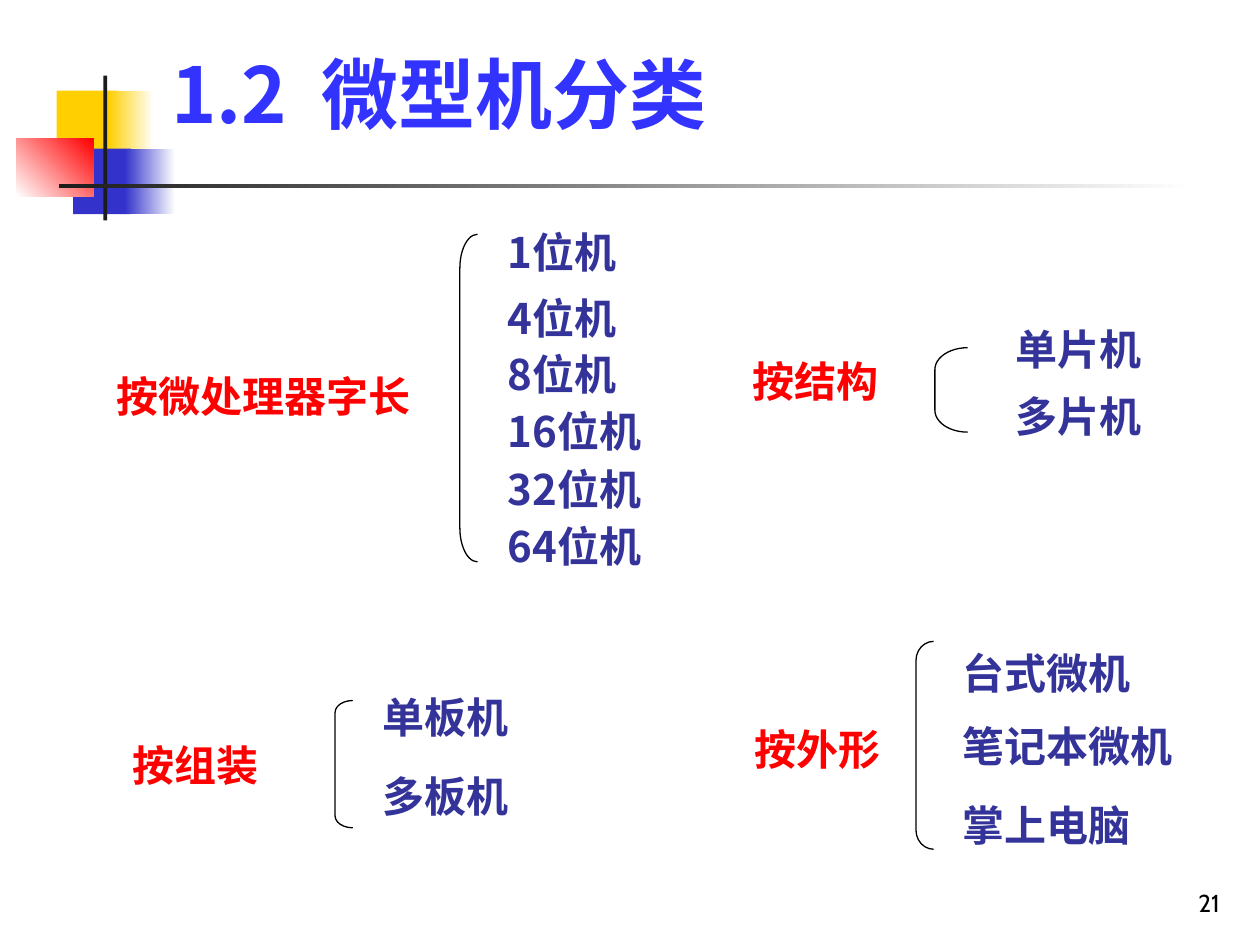
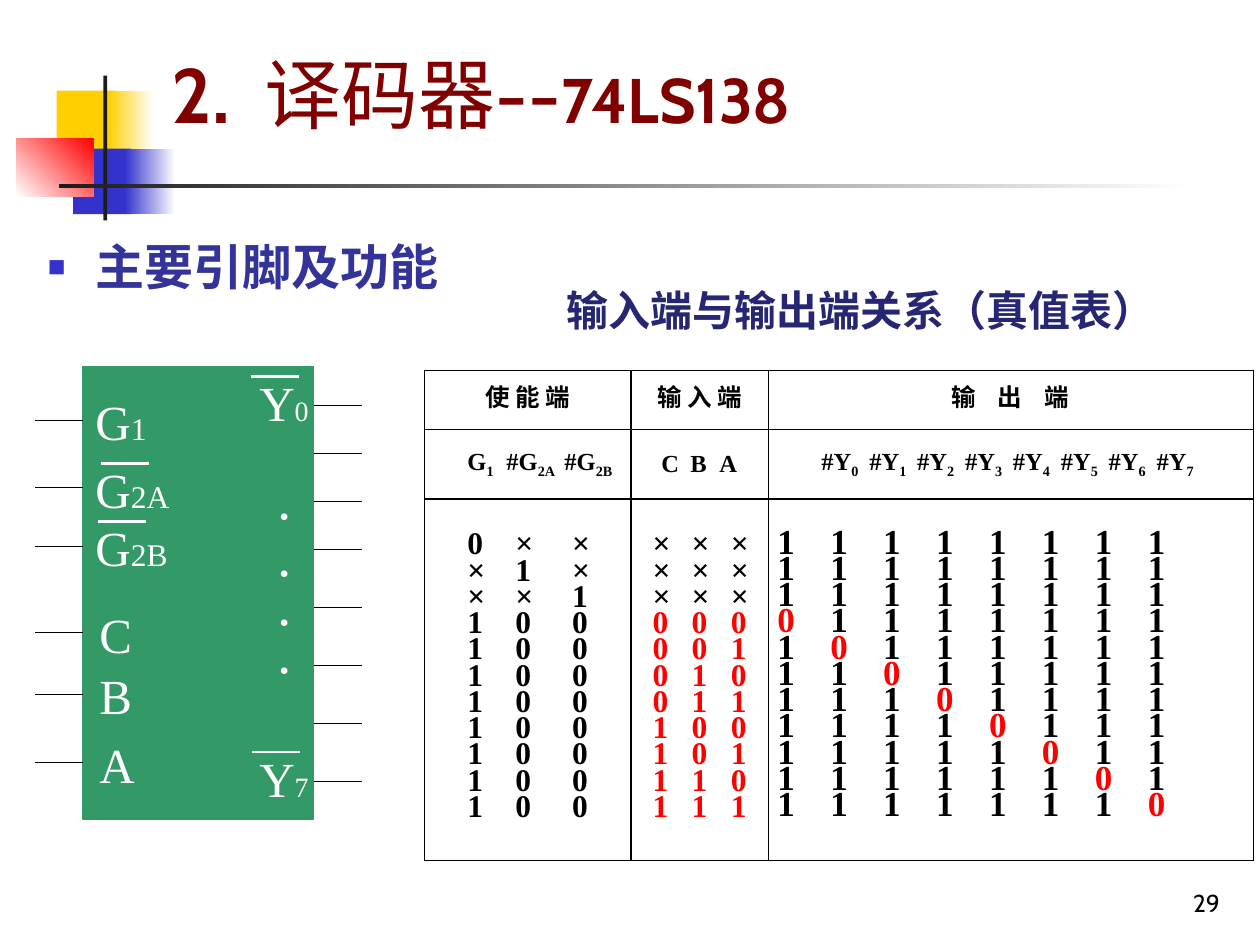
from dataclasses import dataclass
from typing import Optional, Sequence

from lxml.etree import SubElement
from pptx import Presentation
from pptx.dml.color import RGBColor
from pptx.enum.shapes import MSO_CONNECTOR, MSO_SHAPE
from pptx.enum.text import MSO_ANCHOR, MSO_AUTO_SIZE, PP_ALIGN
from pptx.oxml.ns import qn
from pptx.util import Inches, Pt


@dataclass(frozen=True)
class Theme:
    sans: str = "Cabin"
    cjk: str = "Noto Sans CJK SC"
    serif: str = "Times New Roman"
    black: str = "000000"
    white: str = "FFFFFF"
    ink: str = "1C1C1C"
    red: str = "FF0000"
    yellow: str = "FFCF01"
    blue: str = "3333CC"
    indigo: str = "333399"
    navy: str = "262673"
    title_blue: str = "3333FF"
    maroon: str = "800000"
    chip: str = "339966"
    title: int = 44
    subtitle: int = 36
    body: int = 28
    label: int = 24
    output: int = 20
    table: int = 18
    dot: int = 16
    small: int = 14


T = Theme()


@dataclass(frozen=True)
class Box:
    left: float
    top: float
    width: float
    height: float

    def emu(self) -> list:
        return [Inches(v) for v in (self.left, self.top, self.width, self.height)]


@dataclass(frozen=True)
class Span:
    text: str
    size: int
    color: str = T.black
    font: str = T.serif
    bold: bool = True
    sub: bool = False


@dataclass(frozen=True)
class Band:
    box: Box
    start: str
    end: Optional[str] = None
    angle: int = 0


@dataclass(frozen=True)
class Item:
    text: str
    box: Box


@dataclass(frozen=True)
class Category:
    font: str
    heading: Item
    bracket: Box
    curve: float
    items: Sequence[Item]


@dataclass(frozen=True)
class Pin:
    name: str
    sub: str
    sub_size: int
    box: Box


BANDS = [
    Band(Box(0.45, 0.72, 0.48, 0.52), T.yellow),
    Band(Box(0.86, 0.72, 0.36, 0.52), T.yellow, T.white),
    Band(Box(0.58, 1.18, 0.46, 0.52), T.blue),
    Band(Box(0.99, 1.18, 0.4, 0.52), T.blue, T.white),
    Band(Box(0.13, 1.1, 0.61, 0.46), T.white, T.red, 45),
    Band(Box(0.82, 0.6, 0.03, 1.15), T.ink),
    Band(Box(0.47, 1.46, 9, 0.03), T.ink, T.white),
]
TITLE_BOX = Box(1.26, 0.23, 8.52, 0.92)
NUMBER_BOX = Box(7.7, 6.83, 2.08, 0.5)


def column(left: float, width: float, rows: dict) -> list:
    return [Item(text, Box(left, top, width, 0.5)) for text, top in rows.items()]


CATEGORIES = [
    Category(T.cjk, Item("按微处理器字长", Box(0.83, 2.89, 2.61, 0.5)),
             Box(3.65, 1.86, 0.14, 2.6), 1.92,
             column(3.93, 1.58, {"1位机": 1.75, "4位机": 2.27, "8位机": 2.72,
                                 "16位机": 3.17, "32位机": 3.63, "64位机": 4.08})),
    Category(T.cjk, Item("按结构", Box(5.87, 2.77, 1.72, 0.5)),
             Box(7.42, 2.76, 0.26, 0.67), 0.67,
             column(7.96, 1.58, {"单片机": 2.52, "多片机": 3.05})),
    Category(T.serif, Item("按组装", Box(0.95, 5.82, 1.57, 0.5)),
             Box(2.66, 5.56, 0.14, 1.01), 0.67,
             column(2.94, 1.71, {"单板机": 5.44, "多板机": 6.07})),
    Category(T.serif, Item("按外形", Box(5.89, 5.69, 1.52, 0.5)),
             Box(7.27, 5.09, 0.14, 1.65), 1.08,
             column(7.54, 2.21, {"台式微机": 5.09, "笔记本微机": 5.67, "掌上电脑": 6.3})),
]

PINS = [
    Pin("G", "1", 18, Box(0.66, 3.06, 0.84, 0.52)),
    Pin("G", "2A", 18, Box(0.66, 3.6, 0.84, 0.52)),
    Pin("G", "2B", 18, Box(0.66, 4.06, 0.84, 0.52)),
    Pin("C", "", 18, Box(0.69, 4.75, 0.84, 0.52)),
    Pin("B", "", 18, Box(0.69, 5.23, 0.84, 0.52)),
    Pin("A", "", 18, Box(0.69, 5.78, 0.84, 0.52)),
    Pin("Y", "0", 16, Box(1.96, 2.91, 0.69, 0.52)),
    Pin("Y", "7", 16, Box(1.96, 5.89, 0.69, 0.52)),
]
OUTPUT_LEADS = [3.22, 3.6, 3.98, 4.36, 4.82, 5.28, 5.74, 6.2]
INPUT_LEADS = [3.34, 3.87, 4.34, 5.02, 5.51, 6.05]
OVERBARS = [(0.8, 3.68), (0.78, 4.14), (1.99, 2.99), (2, 5.97)]
DOTS = [3.91, 4.36, 4.75, 5.13]
LEAD = 0.38

ENABLE_STOPS = [0.27, 0.65, 1.1]
INPUT_STOPS = [0.1, 0.41, 0.72]
OUTPUT_STOPS = [round(0.42 * i, 2) for i in range(1, 8)]


def rgb(color: str) -> RGBColor:
    return RGBColor.from_string(color)


def write(p, spans: Sequence[Span], align=PP_ALIGN.LEFT, stops: Sequence[float] = (),
          indent: float = 0) -> None:
    p.alignment = align
    for span in spans:
        r = p.add_run()
        r.text = span.text
        r.font.size = Pt(span.size)
        r.font.bold = span.bold
        r.font.name = span.font
        r.font.color.rgb = rgb(span.color)
        rpr = r._r.get_or_add_rPr()
        SubElement(rpr, qn("a:ea")).set("typeface", T.cjk)
        if span.sub:
            rpr.set("baseline", "-25000")
    ppr = p._p.get_or_add_pPr()
    if indent:
        ppr.set("marL", str(Inches(indent)))
    if stops:
        tabs = SubElement(ppr, qn("a:tabLst"))
        for stop in stops:
            tab = SubElement(tabs, qn("a:tab"))
            tab.set("pos", str(Inches(stop)))
            tab.set("algn", "l")


def add_text(s, box: Box, spans: Sequence[Span], align=PP_ALIGN.LEFT, indent: float = 0,
             anchor=MSO_ANCHOR.TOP) -> None:
    tf = s.shapes.add_textbox(*box.emu()).text_frame
    tf.word_wrap = True
    tf.vertical_anchor = anchor
    if anchor == MSO_ANCHOR.TOP:
        tf.auto_size = MSO_AUTO_SIZE.SHAPE_TO_FIT_TEXT
    write(tf.paragraphs[0], spans, align, indent=indent)


def add_line(s, left: float, top: float, color: str, width: float) -> None:
    sp = s.shapes.add_connector(MSO_CONNECTOR.STRAIGHT, Inches(left), Inches(top),
                                Inches(left + LEAD), Inches(top))
    sp.line.color.rgb = rgb(color)
    sp.line.width = Pt(width)
    SubElement(sp._element.spPr, qn("a:effectLst"))


def add_band(s, band: Band) -> None:
    sp = s.shapes.add_shape(MSO_SHAPE.RECTANGLE, *band.box.emu())
    sp.shadow.inherit = False
    sp.line.fill.background()
    if band.end is None:
        sp.fill.solid()
        sp.fill.fore_color.rgb = rgb(band.start)
        return
    sp.fill.gradient()
    sp.fill.gradient_angle = band.angle
    for stop, color in zip(sp.fill.gradient_stops, (band.start, band.end)):
        stop.color.rgb = rgb(color)


def place(sp, box: Box, anchor):
    sp.left, sp.top, sp.width, sp.height = box.emu()
    tf = sp.text_frame
    tf.auto_size = MSO_AUTO_SIZE.NONE
    tf.vertical_anchor = anchor
    return tf.paragraphs[0]


def new_slide(prs, layout: int, title: Sequence[Span], stop: float, number: str):
    s = prs.slides.add_slide(prs.slide_layouts[layout])
    for band in BANDS:
        add_band(s, band)
    write(place(s.shapes.title, TITLE_BOX, MSO_ANCHOR.BOTTOM), title, stops=[stop])
    add_text(s, NUMBER_BOX, [Span(number, T.small, font=T.sans, bold=False)],
             PP_ALIGN.RIGHT, anchor=MSO_ANCHOR.BOTTOM)
    return s


def add_category(s, category: Category) -> None:
    sp = s.shapes.add_shape(MSO_SHAPE.LEFT_BRACKET, *category.bracket.emu())
    sp.shadow.inherit = False
    sp.adjustments[0] = category.curve
    sp.fill.background()
    sp.line.color.rgb = rgb(T.black)
    sp.line.width = Pt(0.75)
    add_text(s, category.heading.box,
             [Span(category.heading.text, T.label, T.red, category.font)])
    for item in category.items:
        add_text(s, item.box, [Span(item.text, T.label, T.indigo, category.font)])


def add_bullet(p) -> None:
    ppr = p._p.get_or_add_pPr()
    ppr.set("marL", str(Inches(0.38)))
    ppr.set("indent", str(Inches(-0.38)))
    color = SubElement(ppr, qn("a:buClr"))
    SubElement(color, qn("a:srgbClr")).set("val", T.blue)
    SubElement(ppr, qn("a:buSzPct")).set("val", "60000")
    SubElement(ppr, qn("a:buChar")).set("char", "■")


def add_chip(s) -> None:
    sp = s.shapes.add_shape(MSO_SHAPE.RECTANGLE, *Box(0.66, 2.91, 1.83, 3.59).emu())
    sp.shadow.inherit = False
    sp.fill.solid()
    sp.fill.fore_color.rgb = sp.line.color.rgb = rgb(T.chip)
    sp.line.width = Pt(0.75)
    for left, tops in ((2.49, OUTPUT_LEADS), (0.28, INPUT_LEADS)):
        for top in tops:
            add_line(s, left, top, T.black, 0.75)
    for pin in PINS:
        spans = [Span(pin.name, T.body, T.white, bold=False)]
        if pin.sub:
            spans.append(Span(pin.sub, pin.sub_size, T.white, bold=False))
        add_text(s, pin.box, spans)
    for top in DOTS:
        add_text(s, Box(1.96, top, 0.69, 0.34),
                 [Span("•", T.dot, T.white, bold=False)], indent=0.16)
    for left, top in OVERBARS:
        add_line(s, left, top, T.white, 1.5)


def format_cell(cell) -> None:
    cell.margin_left = cell.margin_right = Inches(0.07)
    cell.margin_top = cell.margin_bottom = 0
    cell.vertical_anchor = MSO_ANCHOR.MIDDLE
    tcpr = cell._tc.get_or_add_tcPr()
    for side in ("lnL", "lnR", "lnT", "lnB"):
        ln = SubElement(tcpr, qn(f"a:{side}"))
        ln.set("w", str(Pt(1)))
        fill = SubElement(ln, qn("a:solidFill"))
        SubElement(fill, qn("a:srgbClr")).set("val", T.black)
    cell.fill.background()


def fill_column(cell, rows: Sequence[Sequence[Span]], stops: Sequence[float]) -> None:
    tf = cell.text_frame
    for i, spans in enumerate(rows):
        p = tf.add_paragraph() if i else tf.paragraphs[0]
        p.line_spacing = Pt(15)
        write(p, spans, stops=stops)


def signals(names: Sequence[tuple]) -> list:
    spans = []
    for name, sub in names:
        spans.append(Span("\t" + name, T.small))
        if sub:
            spans.append(Span(sub, T.small, sub=True))
    return spans


def digits(values: str, color: str = T.black) -> list:
    return [Span("".join("\t" + v for v in values), T.table, color)]


def output_row(low: Optional[int]) -> list:
    return [Span(("\t" if i else "") + ("0" if i == low else "1"), T.output,
                 T.red if i == low else T.black) for i in range(8)]


def add_truth_table(s) -> None:
    table = s.shapes.add_table(3, 3, *Box(3.37, 2.94, 6.58, 3.89).emu()).table
    table.first_row = table.horz_banding = False
    for col, width in zip(table.columns, (1.64, 1.09, 3.85)):
        col.width = Inches(width)
    for row, height in zip(table.rows, (0.47, 0.55, 2.87)):
        row.height = Inches(height)
    for cell in table.iter_cells():
        format_cell(cell)

    for col, text in enumerate(("使 能 端", "输 入 端")):
        p = table.cell(0, col).text_frame.paragraphs[0]
        p.line_spacing = Pt(15)
        write(p, [Span(text, T.small)], PP_ALIGN.CENTER)
    fill_column(table.cell(0, 2), [[Span("\t输\t出\t端", T.small)]], [1.38, 1.75, 2.12])

    headers = [
        ([("G", "1"), ("#G", "2A"), ("#G", "2B")], [0.27, 0.58, 1.04]),
        ([("C", ""), ("B", ""), ("A", "")], [0.17, 0.4, 0.63]),
        ([("#Y", str(i)) for i in range(8)], [0.35 + 0.38 * i for i in range(8)]),
    ]
    for col, (names, stops) in enumerate(headers):
        p = table.cell(1, col).text_frame.paragraphs[0]
        p.space_before = Pt(6)
        write(p, signals(names), stops=stops)

    enables = ["0××", "×1×", "××1"] + ["100"] * 8
    inputs = [digits("×××")] * 3 + [digits(f"{i:03b}", T.red) for i in range(8)]
    outputs = [output_row(None)] * 3 + [output_row(i) for i in range(8)]
    fill_column(table.cell(2, 0), [digits(v) for v in enables], ENABLE_STOPS)
    fill_column(table.cell(2, 1), inputs, INPUT_STOPS)
    fill_column(table.cell(2, 2), outputs, OUTPUT_STOPS)


def main() -> None:
    prs = Presentation()
    prs.slide_width, prs.slide_height = Inches(10), Inches(7.5)

    s = new_slide(prs, 5, [Span("1.2\t微型机分类", T.title, T.title_blue, T.cjk)], 1.19, "21")
    for category in CATEGORIES:
        add_category(s, category)

    s = new_slide(prs, 1, [Span("2.\t", T.title, T.maroon, T.sans),
                           Span("译码器--", T.title, T.maroon, T.sans, bold=False),
                           Span("74LS138", T.subtitle, T.maroon, T.sans)], 0.74, "29")
    p = place(s.placeholders[1], Box(0.28, 1.78, 3.62, 0.86), MSO_ANCHOR.TOP)
    p.line_spacing = 1.1
    write(p, [Span("主要引脚及功能", T.body, T.indigo, T.sans)])
    add_bullet(p)
    add_chip(s)
    add_truth_table(s)
    add_text(s, Box(3.9, 2.21, 5.67, 0.5),
             [Span("输入端与输出端关系（真值表）", T.label, T.navy)], indent=0.5)
    prs.save("out.pptx")


if __name__ == "__main__":
    main()
